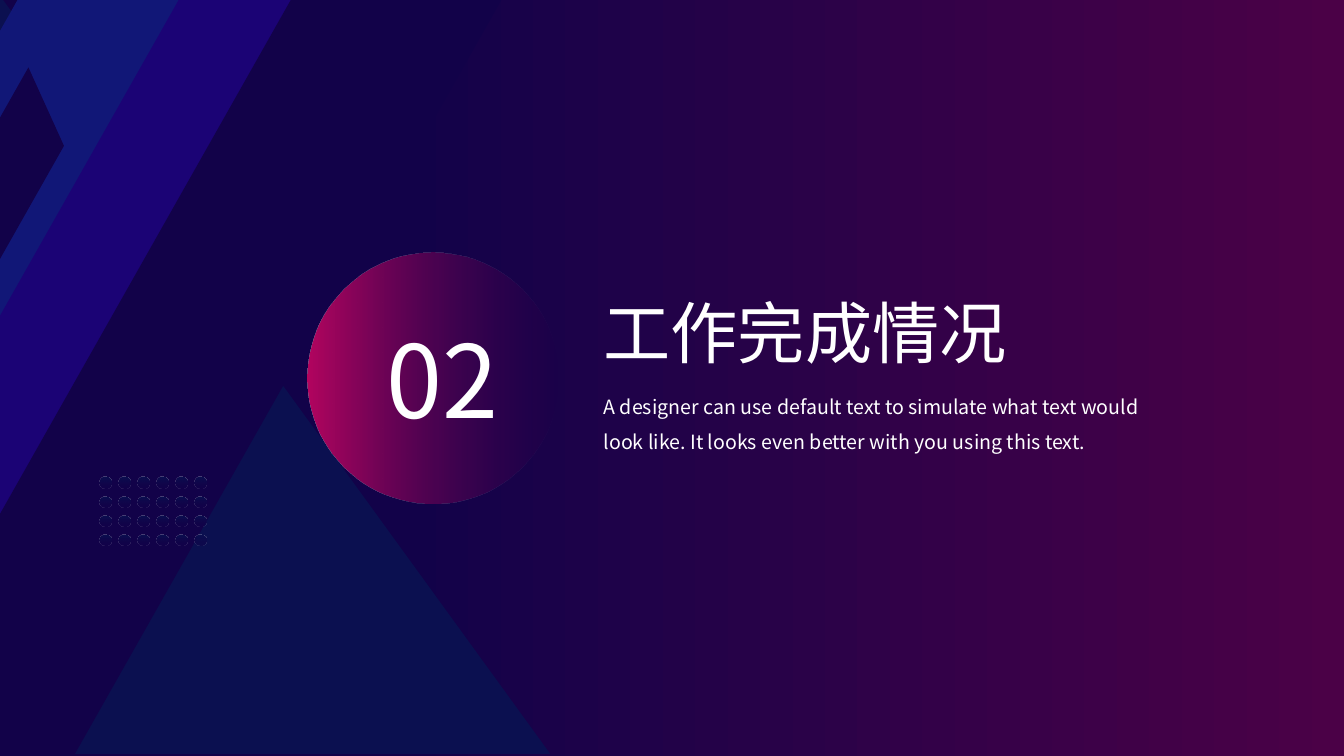
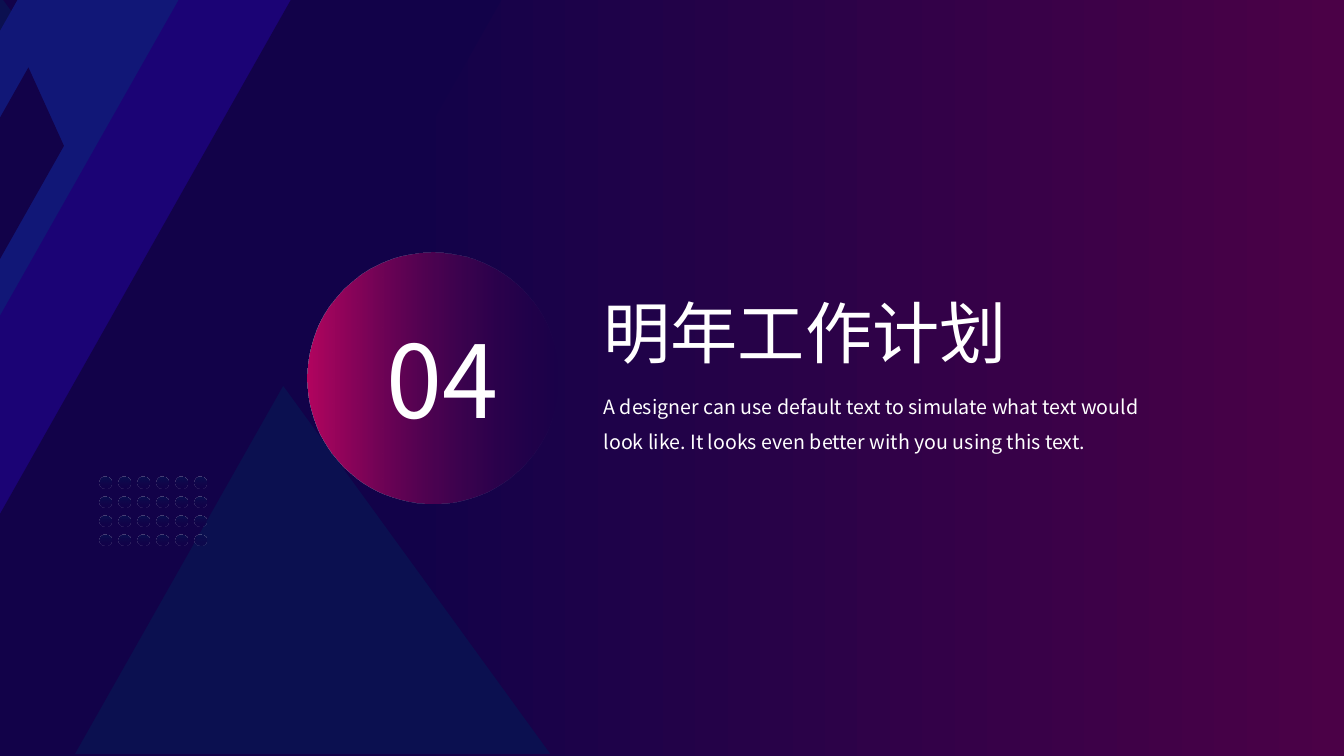
from pptx import Presentation
from pptx.dml.color import RGBColor
from pptx.enum.shapes import MSO_SHAPE
from pptx.enum.text import MSO_AUTO_SIZE, PP_ALIGN
from pptx.oxml.ns import qn
from pptx.util import Pt
from lxml.etree import SubElement

SUMMARY = ("A designer can use default text to simulate what text would look like. "
           "It looks even better with you using this text.")
SECTIONS = [
    ("02", "工作完成情况", SUMMARY),
    ("04", "明年工作计划", SUMMARY),
]

FONT = "Noto Sans CJK SC"
WHITE = RGBColor(0xFF, 0xFF, 0xFF)
NIGHT = RGBColor(0x12, 0x02, 0x49)
PLUM = RGBColor(0x4B, 0x01, 0x47)
NAVY = RGBColor(0x0B, 0x10, 0x50)
BLUE = RGBColor(0x11, 0x17, 0x77)
VIOLET = RGBColor(0x1B, 0x03, 0x75)
PINK = RGBColor(0xB3, 0x06, 0x60)
PURPLE = RGBColor(0x57, 0x01, 0x52)

BAND_ANGLE = 29.5
BANDS = [
    (-120.2, -136.8, 176.4, 789.1, BLUE),
    (-23, -105.1, 176.4, 789.1, VIOLET),
    (50.4, -121.7, 131, 833.8, NIGHT),
]
DOT_ROWS, DOT_COLUMNS = 4, 6
DOT_LEFT, DOT_TOP, DOT_SIZE = 71.4, 340.6, 8
DOT_STEP_X, DOT_STEP_Y = 13.55, 13.75


def fill_gradient(fill, stops, angle=0):
    fill.gradient()
    fill.gradient_angle = angle
    for stop, (position, color, opacity) in zip(fill.gradient_stops, stops):
        stop.position = position
        stop.color.rgb = color
        if opacity < 1:
            for node in fill._xPr.iter(qn("a:gs")):
                if node.get("pos") == str(round(position * 100000)):
                    SubElement(node[0], qn("a:alpha"), val=str(round(opacity * 100000)))


def add_figure(shapes, kind, left, top, width, height, color=None, rotation=0):
    figure = shapes.add_shape(kind, Pt(left), Pt(top), Pt(width), Pt(height))
    figure.shadow.inherit = False
    figure.line.fill.background()
    figure.rotation = rotation
    if color is not None:
        figure.fill.solid()
        figure.fill.fore_color.rgb = color
    return figure


def add_text(shapes, text, left, top, width, height, size, align=PP_ALIGN.LEFT, spacing=1):
    box = shapes.add_textbox(Pt(left), Pt(top), Pt(width), Pt(height))
    frame = box.text_frame
    frame.word_wrap = True
    frame.auto_size = MSO_AUTO_SIZE.SHAPE_TO_FIT_TEXT
    frame.text = text
    para = frame.paragraphs[0]
    para.alignment = align
    para.line_spacing = spacing
    span = para.runs[0]
    span.font.size = Pt(size)
    span.font.color.rgb = WHITE
    span.font.name = FONT
    SubElement(span.font._element, qn("a:ea"), typeface=FONT)


def add_backdrop(page):
    fill_gradient(page.background.fill, [(0.3, NIGHT, 1), (1, PLUM, 1)])
    add_figure(page.shapes, MSO_SHAPE.RIGHT_TRIANGLE, -16.6, -25.9, 409.7, 564.5, NAVY)

    bands = page.shapes.add_group_shape().shapes
    for left, top, width, height, color in BANDS:
        add_figure(bands, MSO_SHAPE.RECTANGLE, left, top, width, height, color, BAND_ANGLE)
    stripe = add_figure(bands, MSO_SHAPE.PARALLELOGRAM, -357.8, 268.6, 535.7, 49.7,
                        NIGHT, BAND_ANGLE + 270)
    stripe.adjustments[0] = 0.73

    dots = page.shapes.add_group_shape().shapes
    for row in range(DOT_ROWS):
        for column in range(DOT_COLUMNS):
            dot = add_figure(dots, MSO_SHAPE.OVAL, DOT_LEFT + column * DOT_STEP_X,
                             DOT_TOP + row * DOT_STEP_Y, DOT_SIZE, DOT_SIZE)
            fill_gradient(dot.fill, [(0, NIGHT, 0.36), (1, NAVY, 1)], 90)


def add_section(deck, number, title, summary):
    page = deck.slides.add_slide(deck.slide_layouts[6])
    add_backdrop(page)
    disc = add_figure(page.shapes, MSO_SHAPE.OVAL, 219.6, 180.7, 179.3, 179.3)
    fill_gradient(disc.fill, [(0, PINK, 1), (1, PURPLE, 0)])
    add_text(page.shapes, number, 253.4, 223.2, 125.3, 94.3, 72, PP_ALIGN.CENTER)
    add_text(page.shapes, title, 424.1, 204.5, 313.9, 65.5, 48)
    add_text(page.shapes, summary, 424.1, 270, 427, 55.4, 14, spacing=1.5)


def main():
    deck = Presentation()
    deck.slide_width, deck.slide_height = Pt(960), Pt(540)
    for section in SECTIONS:
        add_section(deck, *section)
    deck.save("out.pptx")


if __name__ == "__main__":
    main()
